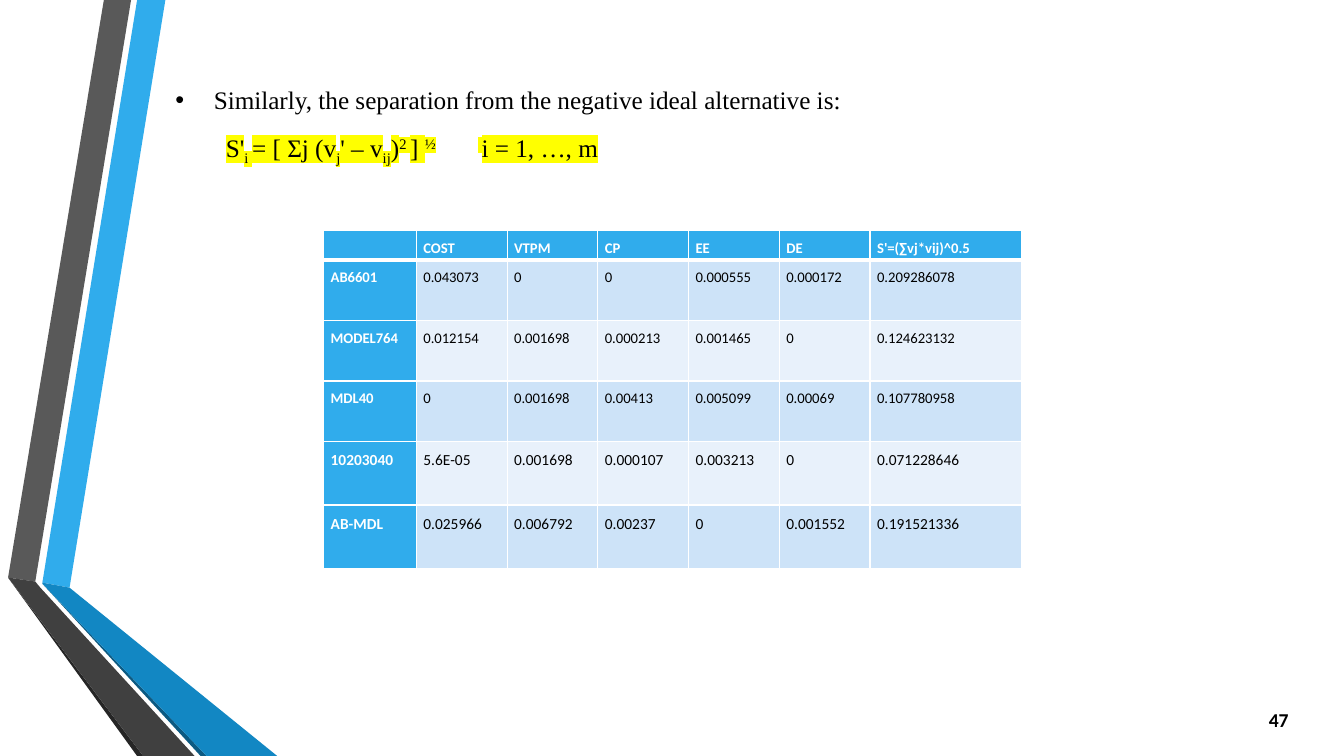
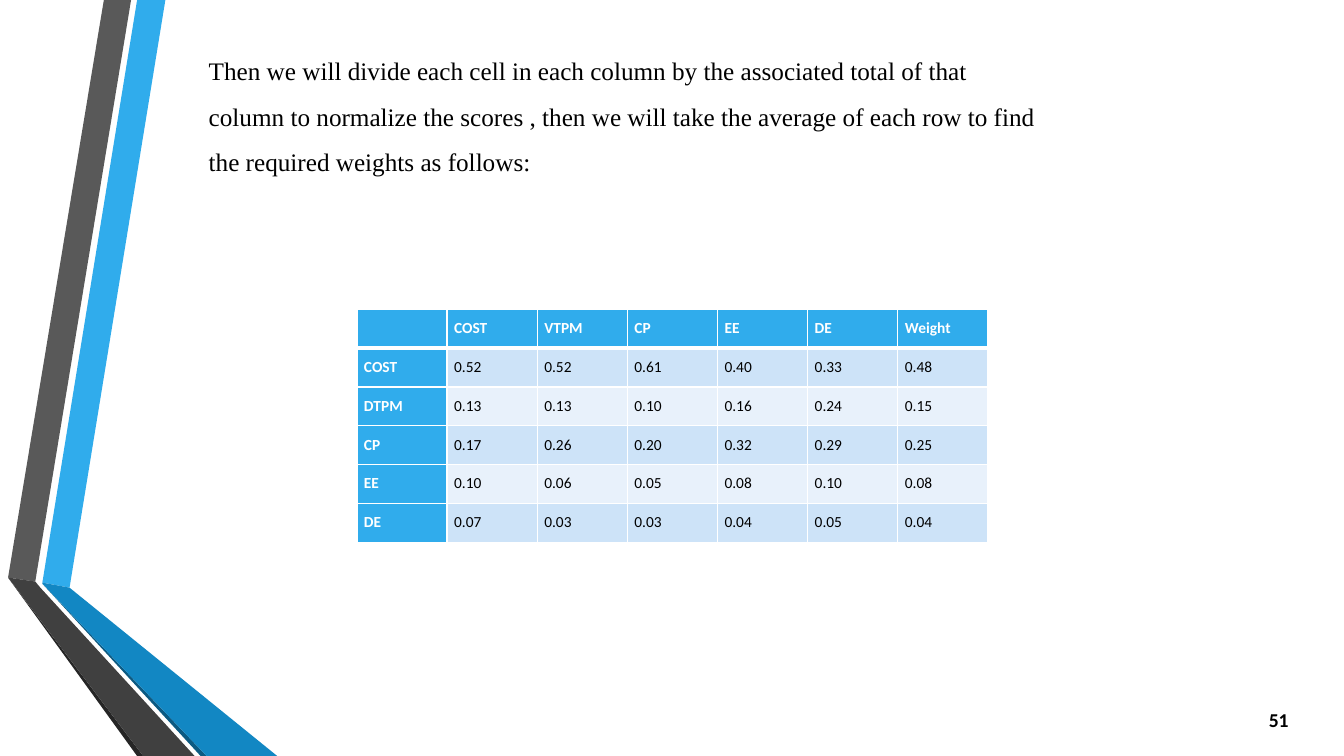
import pptx
import pptx.util
import pptx.dml.color
import pptx.enum.text
import pptx.oxml.ns
import lxml.etree

Inches, Pt = pptx.util.Inches, pptx.util.Pt
qn = pptx.oxml.ns.qn

COLORS = {
    "text": "000000", "white": "FFFFFF", "highlight": "FFFF00",
    "accent": "30ACEC", "accent_mid": "1287C3", "accent_dark": "0C5A82",
    "gray": "595959", "gray_mid": "404040", "gray_dark": "262626",
    "row_odd": "CDE3F8", "row_even": "E8F1FB",
}
SERIF, SANS = "Times New Roman", "Calibri"

# Side ribbons from back to front, corners in inches
RIBBONS = [
    ("accent", [(0.42, 5.78), (0.69, 5.83), (1.64, 0), (1.36, 0)]),
    ("gray", [(1.3, 0), (1.03, 0), (0.08, 5.73), (0.35, 5.77)]),
    ("gray_dark", [(0.08, 5.73), (1.36, 7.5), (1.42, 7.5)]),
    ("accent_dark", [(0.42, 5.79), (1.99, 7.5), (2.05, 7.5)]),
    ("accent_mid", [(0.42, 5.78), (0.42, 5.79), (2.05, 7.5), (2.75, 7.5), (0.69, 5.83)]),
    ("gray_mid", [(1.93, 7.5), (0.4, 5.83), (0.35, 5.77), (0.08, 5.73), (1.42, 7.5)]),
]

# Formula pieces with their baseline shift in percent
FORMULA = [
    ("S'", 0), ("i ", -25), ("= [ Σj (v", 0), ("j", -25), ("' – v", 0), ("ij", -25),
    (")", 0), ("2 ", 30), ("] ", 0), ("½\t ", 30), ("i = 1, …, m", 0),
]

SLIDES = [
    {
        "number": "47",
        "body_at": (1.64, 0.64, 7.89, 0.95),
        "body": [
            {"text": "Similarly, the separation from the negative ideal alternative is:",
             "bullet": True},
            {"formula": FORMULA},
        ],
        "table_at": (3.21, 2.29),
        "columns": [0.92] + [0.9] * 5 + [1.5],
        "rows": [0.29] + [0.6] * 3 + [0.63] * 2,
        "sizes": [10.5] * 4 + [11] * 2,
        "cells": [
            ["", "COST", "VTPM", "CP", "EE", "DE", "S'=(∑vj*vij)^0.5"],
            ["AB6601", "0.043073", "0", "0", "0.000555", "0.000172", "0.209286078"],
            ["MODEL764", "0.012154", "0.001698", "0.000213", "0.001465", "0", "0.124623132"],
            ["MDL40", "0", "0.001698", "0.00413", "0.005099", "0.00069", "0.107780958"],
            ["10203040", "5.6E-05", "0.001698", "0.000107", "0.003213", "0", "0.071228646"],
            ["AB-MDL", "0.025966", "0.006792", "0.00237", "0", "0.001552", "0.191521336"],
        ],
    },
    {
        "number": "51",
        "body_at": (1.97, 0.35, 8.43, 1.41),
        "body": [
            {"text": "Then we will divide each cell in each column by the associated total "
                     "of that column to normalize the scores , then we will take the average "
                     "of each row to find the required weights as follows:"},
        ],
        "table_at": (3.54, 3.07),
        "columns": [6.26 / 7] * 7,
        "rows": [2.31 / 6] * 6,
        "sizes": [11] * 6,
        "cells": [
            ["", "COST", "VTPM", "CP", "EE", "DE", "Weight"],
            ["COST", "0.52", "0.52", "0.61", "0.40", "0.33", "0.48"],
            ["DTPM", "0.13", "0.13", "0.10", "0.16", "0.24", "0.15"],
            ["CP", "0.17", "0.26", "0.20", "0.32", "0.29", "0.25"],
            ["EE", "0.10", "0.06", "0.05", "0.08", "0.10", "0.08"],
            ["DE", "0.07", "0.03", "0.03", "0.04", "0.05", "0.04"],
        ],
    },
]


def rgb(name):
    return pptx.dml.color.RGBColor.from_string(COLORS[name])


def add_xml(parent, tag, **attrs):
    return lxml.etree.SubElement(parent, qn(tag), {k: str(v) for k, v in attrs.items()})


def set_font(p, name, size, color="text", bold=False):
    p.font.name, p.font.size, p.font.bold = name, Pt(size), bold
    p.font.color.rgb = rgb(color)


def add_ribbons(slide, layout):
    """Draw the ribbons and move them to the layout, where all slides share them."""
    for color, corners in RIBBONS:
        points = [(Inches(x), Inches(y)) for x, y in corners]
        builder = slide.shapes.build_freeform(*points[0])
        builder.add_line_segments(points[1:], close=True)
        sp = builder.convert_to_shape()
        sp.shadow.inherit = False
        sp.fill.solid()
        sp.fill.fore_color.rgb = rgb(color)
        sp.line.fill.background()
        layout.shapes.element.append(sp.element)


def set_indent(p, left, first, bullet=False, tab=None):
    pPr = p._p.get_or_add_pPr()
    pPr.set("marL", str(Inches(left)))
    pPr.set("indent", str(Inches(first)))
    if bullet:
        add_xml(pPr, "a:buFont", typeface="Arial")
        add_xml(pPr, "a:buChar", char="•")
    else:
        add_xml(pPr, "a:buNone")
    if tab:
        add_xml(add_xml(pPr, "a:tabLst"), "a:tab", pos=Inches(tab), algn="l")


def add_formula(p, pieces):
    for text, baseline in pieces:
        r = p.add_run()
        r.text = text
        rPr = r.font._element
        if baseline:
            rPr.set("baseline", str(baseline * 1000))
        add_xml(add_xml(rPr, "a:highlight"), "a:srgbClr", val=COLORS["highlight"])


def fill_body(body, at, items):
    body.left, body.top, body.width, body.height = map(Inches, at)
    tf = body.text_frame
    tf.word_wrap = True
    tf.auto_size = pptx.enum.text.MSO_AUTO_SIZE.SHAPE_TO_FIT_TEXT
    for i, item in enumerate(items):
        p = tf.add_paragraph() if i else tf.paragraphs[0]
        if "formula" in item:
            set_indent(p, 0, 0.5, tab=3.5)
            add_formula(p, item["formula"])
        else:
            bullet = item.get("bullet", False)
            set_indent(p, *((0.38, -0.38) if bullet else (0, 0)), bullet=bullet)
            p.add_run().text = item["text"]
        p.line_spacing, p.space_before = 1.5, Pt(0)
        set_font(p, SERIF, 18)


def add_number(slide, number):
    tf = slide.shapes.add_textbox(*map(Inches, (12.28, 6.94, 0.6, 0.4))).text_frame
    tf.word_wrap = True
    tf.vertical_anchor = pptx.enum.text.MSO_ANCHOR.MIDDLE
    p = tf.paragraphs[0]
    p.text = number
    p.alignment = pptx.enum.text.PP_ALIGN.RIGHT
    set_font(p, SANS, 14, bold=True)


def set_borders(cell, bottom):
    tcPr = cell._tc.get_or_add_tcPr()
    for side, width in (("L", 1), ("R", 1), ("T", 1), ("B", bottom)):
        ln = add_xml(tcPr, f"a:ln{side}", w=Pt(width))
        add_xml(add_xml(ln, "a:solidFill"), "a:srgbClr", val=COLORS["white"])


def add_grid(slide, at, columns, rows, sizes, cells):
    table = slide.shapes.add_table(
        len(rows), len(columns), *map(Inches, (*at, sum(columns), sum(rows)))).table
    for column, width in zip(table.columns, columns):
        column.width = Inches(width)
    for i, (row, height) in enumerate(zip(table.rows, rows)):
        row.height = Inches(height)
        for j, cell in enumerate(row.cells):
            head = i == 0 or j == 0
            cell.margin_left = cell.margin_right = Inches(0.07)
            cell.margin_top = cell.margin_bottom = 0
            set_borders(cell, 3 if i == 0 else 1)
            cell.fill.solid()
            cell.fill.fore_color.rgb = rgb(
                "accent" if head else "row_odd" if i % 2 else "row_even")
            p = cell.text_frame.paragraphs[0]
            p.line_spacing = 1.5
            set_font(p, SANS, sizes[i], "white" if head else "text", head)
            if cells[i][j]:
                p.add_run().text = cells[i][j]
            else:
                add_xml(p._p, "a:endParaRPr", sz=int(sizes[i] * 100))


def main():
    prs = pptx.Presentation()
    prs.slide_width, prs.slide_height = Inches(13.33), Inches(7.5)
    layout = prs.slide_layouts[1]
    for i, content in enumerate(SLIDES):
        slide = prs.slides.add_slide(layout)
        if i == 0:
            add_ribbons(slide, layout)
        title = slide.shapes.title.element
        title.getparent().remove(title)
        add_number(slide, content["number"])
        fill_body(slide.placeholders[1], content["body_at"], content["body"])
        add_grid(slide, content["table_at"], content["columns"], content["rows"],
                 content["sizes"], content["cells"])
    prs.save("out.pptx")


if __name__ == "__main__":
    main()
